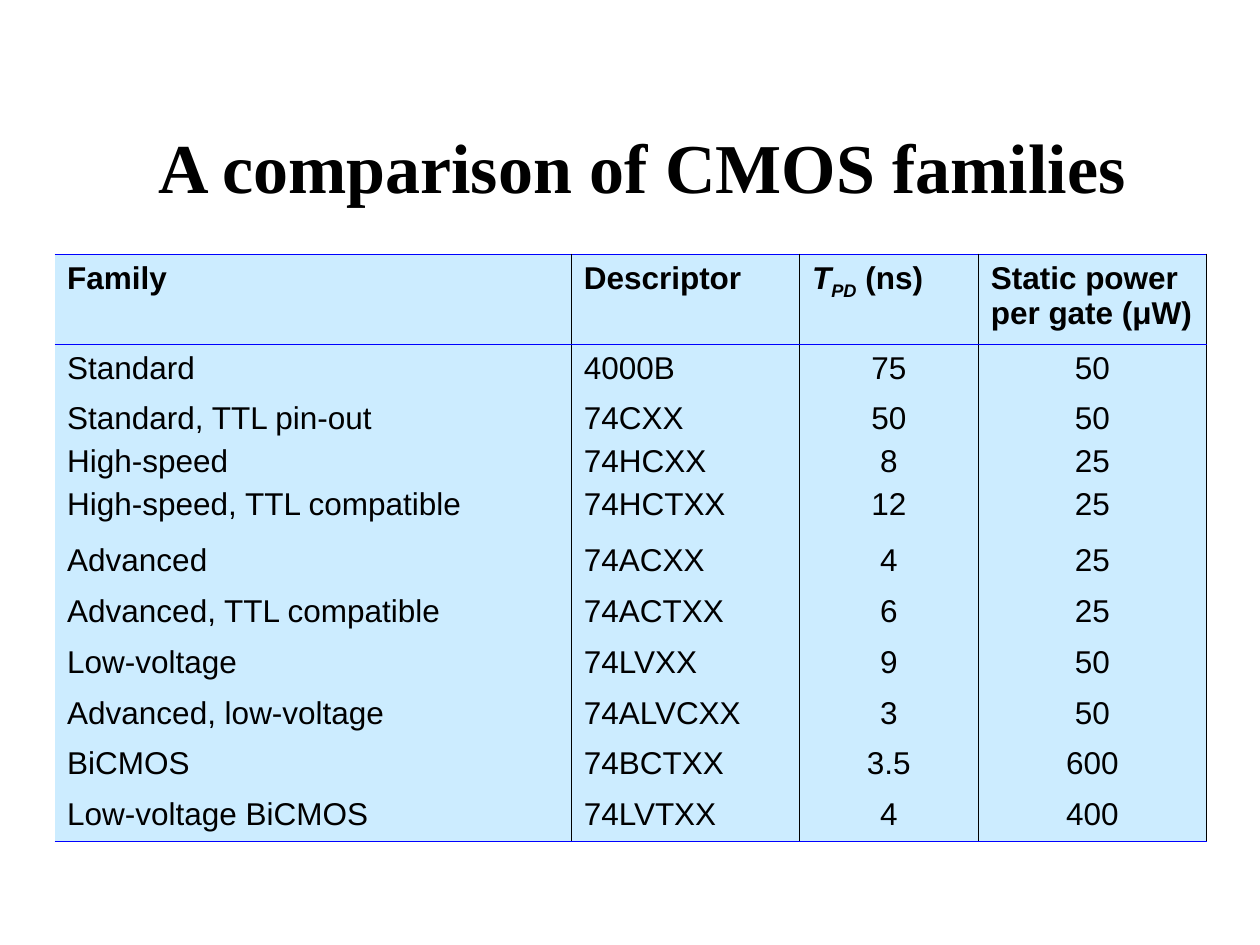
from dataclasses import dataclass

from lxml.etree import SubElement
from pptx import Presentation
from pptx.dml.color import RGBColor
from pptx.enum.text import MSO_ANCHOR, MSO_AUTO_SIZE, PP_ALIGN
from pptx.oxml.ns import qn
from pptx.util import Pt


@dataclass(frozen=True)
class Theme:
    ink: str = "000000"
    rule: str = "0000FF"
    fill: str = "CCECFF"
    head: str = "Times New Roman"
    body: str = "Arial"
    big: float = 40
    text: float = 18
    gap: float = 4.5
    thin: float = 0.45
    thick: float = 1.08


HEADS = [
    [[("Family", "b")]],
    [[("Descriptor", "b")]],
    [[("T", "bi"), ("PD", "bis"), (" (ns)", "b")]],
    [[("Static power per gate (μW)", "b")]],
]
GROUPS = [
    [("Standard", "4000B", "75", "50")],
    [
        ("Standard, TTL pin-out", "74CXX", "50", "50"),
        ("High-speed", "74HCXX", "8", "25"),
        ("High-speed, TTL compatible", "74HCTXX", "12", "25"),
    ],
    [("Advanced", "74ACXX", "4", "25")],
    [("Advanced, TTL compatible", "74ACTXX", "6", "25")],
    [("Low-voltage", "74LVXX", "9", "50")],
    [("Advanced, low-voltage", "74ALVCXX", "3", "50")],
    [("BiCMOS", "74BCTXX", "3.5", "600")],
    [("Low-voltage BiCMOS", "74LVTXX", "4", "400")],
]
WIDTHS = [295.2, 130.4, 102.2, 130.4]
HEIGHTS = [51.4, 28.8, 81.3] + [29] * 6


class Deck:
    """Holds the theme and the current slide, and draws each element."""

    def __init__(self, theme):
        self.theme = theme
        self.show = Presentation()
        self.show.slide_width, self.show.slide_height = Pt(720), Pt(540)
        self.slide = self.show.slides.add_slide(self.show.slide_layouts[5])

    def run(self, para, text, face, size, marks=""):
        run = para.add_run()
        run.text = text
        font = run.font
        font.name, font.size = face, Pt(size)
        font.bold, font.italic = "b" in marks, "i" in marks
        font.color.rgb = RGBColor.from_string(self.theme.ink)
        if "s" in marks:
            font._element.set("baseline", "-25000")

    def title(self, text, left, top, width, height):
        box = self.slide.shapes.title
        box.left, box.top = Pt(left), Pt(top)
        box.width, box.height = Pt(width), Pt(height)
        frame = box.text_frame
        frame.auto_size = MSO_AUTO_SIZE.NONE
        frame.word_wrap = True
        frame.vertical_anchor = MSO_ANCHOR.MIDDLE
        para = frame.paragraphs[0]
        para.alignment = PP_ALIGN.CENTER
        self.run(para, text, self.theme.head, self.theme.big, "b")

    def edge(self, cell, side, color, width):
        line = SubElement(cell._tc.get_or_add_tcPr(), qn(f"a:ln{side}"), w=str(Pt(width)))
        if color:
            fill = SubElement(line, qn("a:solidFill"))
            SubElement(fill, qn("a:srgbClr"), val=color)
        else:
            SubElement(line, qn("a:noFill"))

    def cell(self, cell, lines, align, edges):
        for side, (color, width) in edges.items():
            self.edge(cell, side, color, width)
        cell.fill.solid()
        cell.fill.fore_color.rgb = RGBColor.from_string(self.theme.fill)
        cell.margin_left = cell.margin_right = Pt(7.2)
        cell.margin_top = cell.margin_bottom = Pt(3.6)
        frame = cell.text_frame
        for num, runs in enumerate(lines):
            para = frame.add_paragraph() if num else frame.paragraphs[0]
            para.alignment = align
            para.space_before = Pt(self.theme.gap if num else 0)
            for text, marks in runs:
                self.run(para, text, self.theme.body, self.theme.text, marks)

    def table(self, rows, widths, heights, left, top):
        frame = self.slide.shapes.add_table(
            len(rows), len(widths), Pt(left), Pt(top), Pt(sum(widths)), Pt(sum(heights))
        )
        table = frame.table
        table.first_row = table.horz_banding = False
        for col, width in zip(table.columns, widths):
            col.width = Pt(width)
        for row, height in zip(table.rows, heights):
            row.height = Pt(height)
        none = (None, 0)
        thin = (self.theme.ink, self.theme.thin)
        thick = (self.theme.rule, self.theme.thick)
        for r, row in enumerate(rows):
            for c, lines in enumerate(row):
                edges = {
                    "L": thin if c else none,
                    "R": thin,
                    "T": thick if r < 2 else none,
                    "B": thick if r in (0, len(rows) - 1) else none,
                }
                align = PP_ALIGN.CENTER if r and c > 1 else PP_ALIGN.LEFT
                self.cell(table.cell(r, c), lines, align, edges)


def main():
    deck = Deck(Theme())
    deck.title("A comparison of CMOS families", 36.7, 61.2, 660.2, 66.2)
    body = [[[[(text, "")] for text in col] for col in zip(*group)] for group in GROUPS]
    deck.table([HEADS] + body, WIDTHS, HEIGHTS, 31.2, 145.4)
    deck.show.save("out.pptx")


if __name__ == "__main__":
    main()
